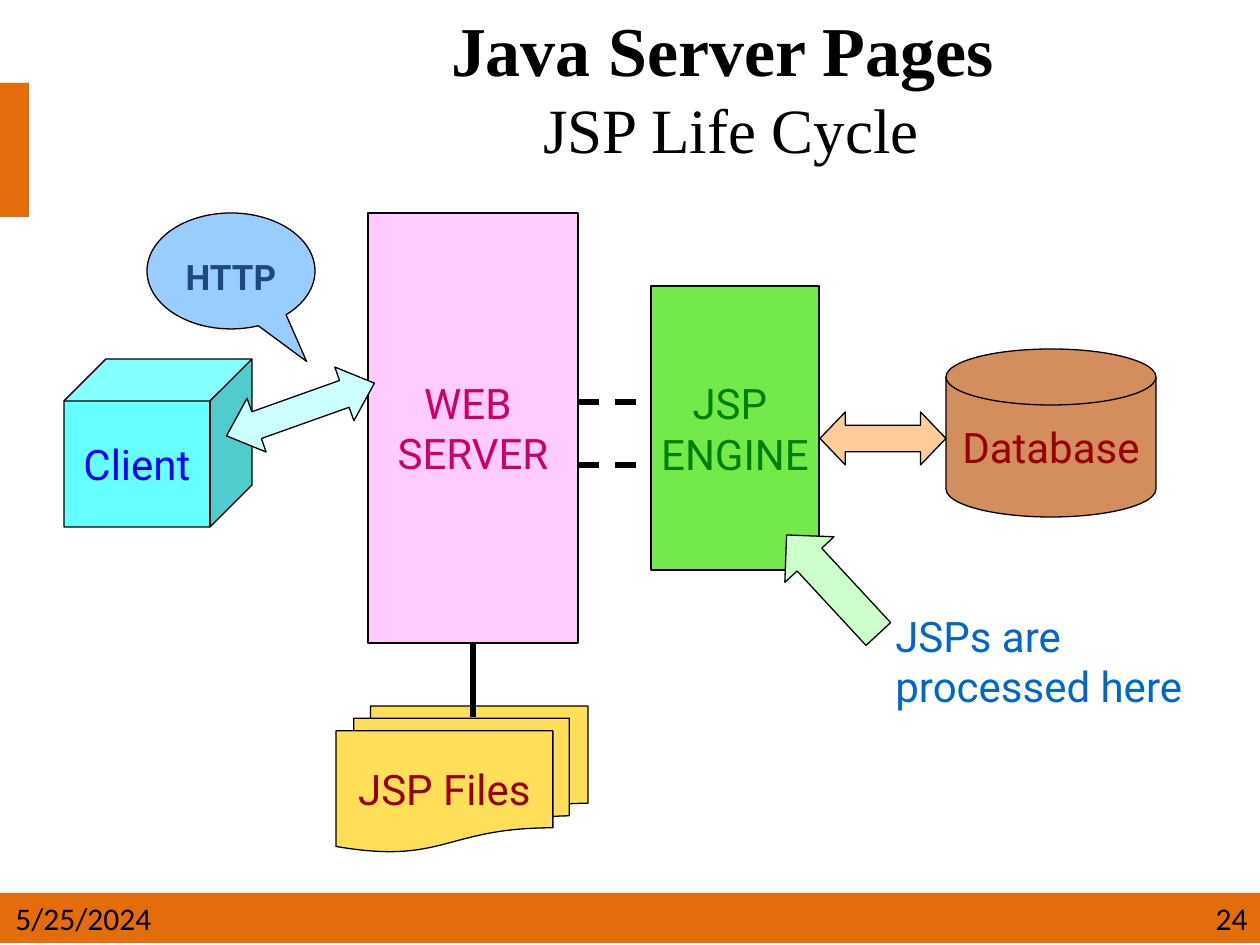
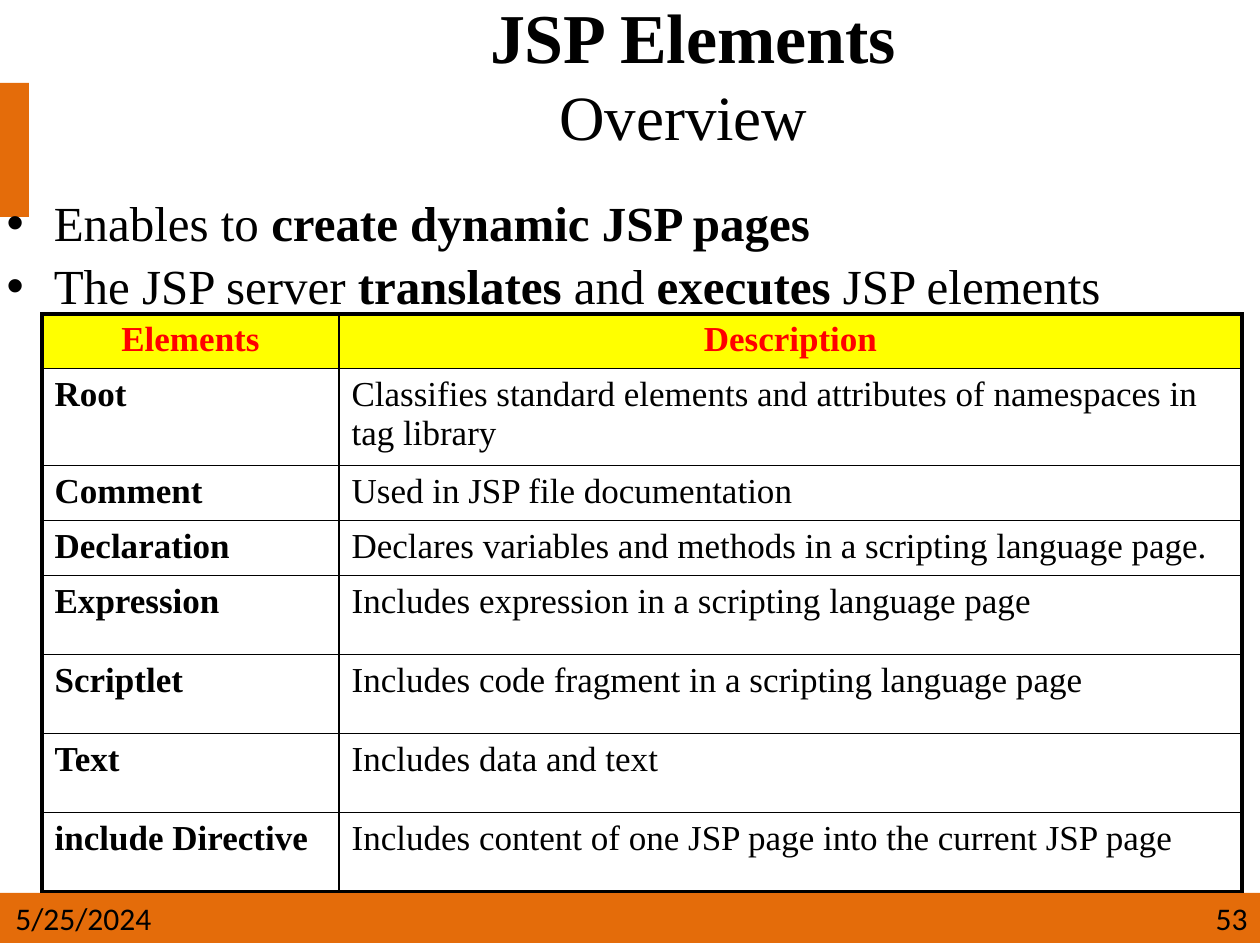
"""Builds two slides on Java Server Pages: the life cycle diagram and the element overview."""
from lxml import etree
from pptx import Presentation
from pptx import util as u
from pptx.dml.color import RGBColor
from pptx.enum import dml, shapes, text
from pptx.oxml.ns import qn

SCALE = 914400 / 126
SERIF, SANS, FOOTER_FONT = "Times New Roman", "Roboto", "Calibri"
BLACK = RGBColor(0x00, 0x00, 0x00)
ORANGE = RGBColor(0xE4, 0x6C, 0x0A)
PINK = RGBColor(0xFF, 0xCC, 0xFF)
MAGENTA = RGBColor(0xCC, 0x00, 0x66)
LIME = RGBColor(0x74, 0xEA, 0x4A)
GREEN = RGBColor(0x00, 0x80, 0x00)
BROWN = RGBColor(0xD4, 0x8D, 0x5C)
MAROON = RGBColor(0x99, 0x00, 0x00)
CYAN = RGBColor(0x66, 0xFF, 0xFF)
BLUE = RGBColor(0x00, 0x00, 0xFF)
GOLD = RGBColor(0xFF, 0xDF, 0x57)
SKY = RGBColor(0x99, 0xCC, 0xFF)
NAVY = RGBColor(0x1F, 0x49, 0x7D)
AZURE = RGBColor(0x00, 0x66, 0xCC)
PEACH = RGBColor(0xFF, 0xCC, 0x99)
MINT = RGBColor(0xCC, 0xFF, 0xCC)
ICE = RGBColor(0xCC, 0xFF, 0xFF)
YELLOW = RGBColor(0xFF, 0xFF, 0x00)
RED = RGBColor(0xFF, 0x00, 0x00)


def px(*lengths):
    """Turn px lengths into EMU."""
    return [u.Emu(round(length * SCALE)) for length in lengths]


def write(para, words, name, size, color=BLACK, bold=False):
    """Add one formatted span to a paragraph."""
    span = para.add_run()
    span.text = words
    for key, value in {"name": name, "size": u.Pt(size), "bold": bold}.items():
        setattr(span.font, key, value)
    span.font.color.rgb = color


deck = Presentation()
deck.slide_width, deck.slide_height = px(1260, 945)

FRAMES = [
    (5, (202, 0, 1058, 173), 1.0, "24",
     [("Java Server Pages ", 40, True), ("JSP Life Cycle", 36, False)]),
    (1, (126, 0, 1134, 163), 0.85, "53",
     [("JSP Elements", 40, True), ("Overview", 36, False), (" ", 44, True)]),
]
BANDS = [(0, 893, 1260, 50), (0, 83, 29, 134)]

for layout, title_box, spacing, number, title_spans in FRAMES:
    page = deck.slides.add_slide(deck.slide_layouts[layout])
    for place in BANDS:
        band = page.shapes.add_shape(shapes.MSO_SHAPE.RECTANGLE, *px(*place))
        band.shadow.inherit = False
        band.fill.solid()
        band.fill.fore_color.rgb = ORANGE
        band.line.fill.background()
        page.shapes.element.insert(2, band.element)
    title = page.shapes.title
    title.left, title.top, title.width, title.height = px(*title_box)
    title.text_frame.auto_size = text.MSO_AUTO_SIZE.NONE
    title.text_frame.vertical_anchor = text.MSO_ANCHOR.MIDDLE
    para = title.text_frame.paragraphs[0]
    para.alignment, para.line_spacing = text.PP_ALIGN.CENTER, spacing
    for index, (words, size, bold) in enumerate(title_spans):
        if index == 1:
            para.add_line_break()
        write(para, words, SERIF, size, bold=bold)
    for place, words, align in [
        ((3, 893, 192, 50), "5/25/2024", text.PP_ALIGN.LEFT),
        ((882, 893, 378, 50), number, text.PP_ALIGN.RIGHT),
    ]:
        box = page.shapes.add_textbox(*px(*place))
        box.text_frame.word_wrap = True
        para = box.text_frame.paragraphs[0]
        para.alignment = align
        write(para, words, FOOTER_FONT, 18)

cycle_page, elements_page = deck.slides

KIND = shapes.MSO_SHAPE
BLOCKS = [
    (KIND.RECTANGLE, (368, 213, 210, 430), PINK, ["WEB ", "SERVER"], MAGENTA, []),
    (KIND.RECTANGLE, (651, 286, 168, 284), LIME, ["JSP ", "ENGINE"], GREEN, []),
    (KIND.FLOWCHART_MAGNETIC_DISK, (946, 349, 210, 168), BROWN, ["Database"], MAROON, []),
    (KIND.CUBE, (64, 359, 188, 168), CYAN, ["Client"], BLUE, [0.25]),
    (KIND.FLOWCHART_MULTIDOCUMENT, (336, 706, 252, 146), GOLD, ["JSP Files"], MAROON, []),
    (KIND.OVAL_CALLOUT, (147, 213, 168, 116), SKY, ["HTTP"], NAVY, [0.45, 0.78]),
    (KIND.LEFT_RIGHT_ARROW, (820, 412, 126, 53), PEACH, [], BLACK, [0.5, 0.48]),
    (KIND.RIGHT_ARROW, (765, 551, 135, 67), MINT, [], BLACK, [0.5, 0.5]),
    (KIND.LEFT_RIGHT_ARROW, (222, 381, 157, 57), ICE, [], BLACK, [0.5, 0.56]),
]
blocks = []
for kind, place, fill, lines, color, adjustments in BLOCKS:
    block = cycle_page.shapes.add_shape(kind, *px(*place))
    block.shadow.inherit = False
    block.fill.solid()
    block.fill.fore_color.rgb = fill
    block.line.color.rgb, block.line.width = BLACK, u.Pt(0.75)
    for index, value in enumerate(adjustments):
        block.adjustments[index] = value
    is_callout = kind == KIND.OVAL_CALLOUT
    frame = block.text_frame
    frame.word_wrap = is_callout
    frame.vertical_anchor = text.MSO_ANCHOR.TOP if is_callout else text.MSO_ANCHOR.MIDDLE
    if is_callout:
        frame.margin_top = u.Inches(0.2)
    for index, words in enumerate(lines):
        para = frame.add_paragraph() if index else frame.paragraphs[0]
        para.alignment = text.PP_ALIGN.CENTER
        write(para, words, SANS, 20 if is_callout else 24, color, is_callout)
    blocks.append(block)

web_server, engine_pointer, http_arrow = blocks[0], blocks[7], blocks[8]
engine_pointer.rotation, http_arrow.rotation = 227.2, 340.4

for ends, dashed in [((473, 643, 473, 717), False),
                     ((578, 402, 651, 402), True),
                     ((578, 465, 651, 465), True)]:
    link = cycle_page.shapes.add_connector(shapes.MSO_CONNECTOR.STRAIGHT, *px(*ends))
    link.line.color.rgb, link.line.width = BLACK, u.Pt(3)
    if dashed:
        link.line.dash_style = dml.MSO_LINE.DASH
    else:
        link.begin_connect(web_server, 2)
    etree.SubElement(link.element.spPr, qn("a:effectLst"))

caption = cycle_page.shapes.add_textbox(*px(883, 604, 338, 113))
caption.text_frame.word_wrap = True
write(caption.text_frame.paragraphs[0], "JSPs are processed here", SANS, 24, AZURE)

BULLETS = [
    [("Enables to ", False), ("create dynamic JSP pages", True)],
    [("The JSP server ", False), ("translates", True), (" and ", False),
     ("executes", True), (" JSP elements", False)],
]
body = elements_page.placeholders[1]
body.left, body.top, body.width, body.height = px(-6, 193, 1260, 134)
body.text_frame.auto_size = text.MSO_AUTO_SIZE.NONE
for index, spans in enumerate(BULLETS):
    para = body.text_frame.add_paragraph() if index else body.text_frame.paragraphs[0]
    for key, value in {"alignment": text.PP_ALIGN.JUSTIFY, "line_spacing": 0.9,
                       "space_before": u.Pt(5.6 if index else 0)}.items():
        setattr(para, key, value)
    for words, bold in spans:
        write(para, words, SERIF, 28, bold=bold)

ROWS = [
    (54, "Elements", "Description"),
    (97, "Root", "Classifies standard elements and attributes of namespaces in tag library"),
    (55, "Comment", "Used in JSP file documentation"),
    (55, "Declaration", "Declares variables and methods in a scripting language page."),
    (79, "Expression", "Includes expression in a scripting language page"),
    (79, "Scriptlet", "Includes code fragment in a scripting language page"),
    (79, "Text", "Includes data and text"),
    (79, "include Directive", "Includes content of one JSP page into the current JSP page"),
]
COLUMNS = [297, 903]
table_height = sum(row[0] for row in ROWS)
table = elements_page.shapes.add_table(
    len(ROWS), len(COLUMNS), *px(42, 314, sum(COLUMNS), table_height)).table
table.first_row = table.horz_banding = False
for column, width in zip(table.columns, px(*COLUMNS)):
    column.width = width
last_row, last_column = len(ROWS) - 1, len(COLUMNS) - 1
for r, (height, *row_words) in enumerate(ROWS):
    table.rows[r].height = px(height)[0]
    for c, words in enumerate(row_words):
        cell = table.cell(r, c)
        outer = {"lnL": c == 0, "lnR": c == last_column, "lnT": r == 0, "lnB": r == last_row}
        properties = cell._tc.get_or_add_tcPr()
        for side, is_outer in outer.items():
            border = etree.SubElement(properties, qn(f"a:{side}"),
                                      w=str(u.Pt(2.25 if is_outer else 1)))
            paint = etree.SubElement(border, qn("a:solidFill"))
            etree.SubElement(paint, qn("a:srgbClr"), val=str(BLACK))
        para = cell.text_frame.paragraphs[0]
        if r == 0:
            cell.fill.solid()
            cell.fill.fore_color.rgb = YELLOW
            para.alignment = text.PP_ALIGN.CENTER
        else:
            cell.fill.background()
        write(para, words, SERIF, 20, BLACK if r else RED, r == 0 or c == 0)

deck.save("out.pptx")
